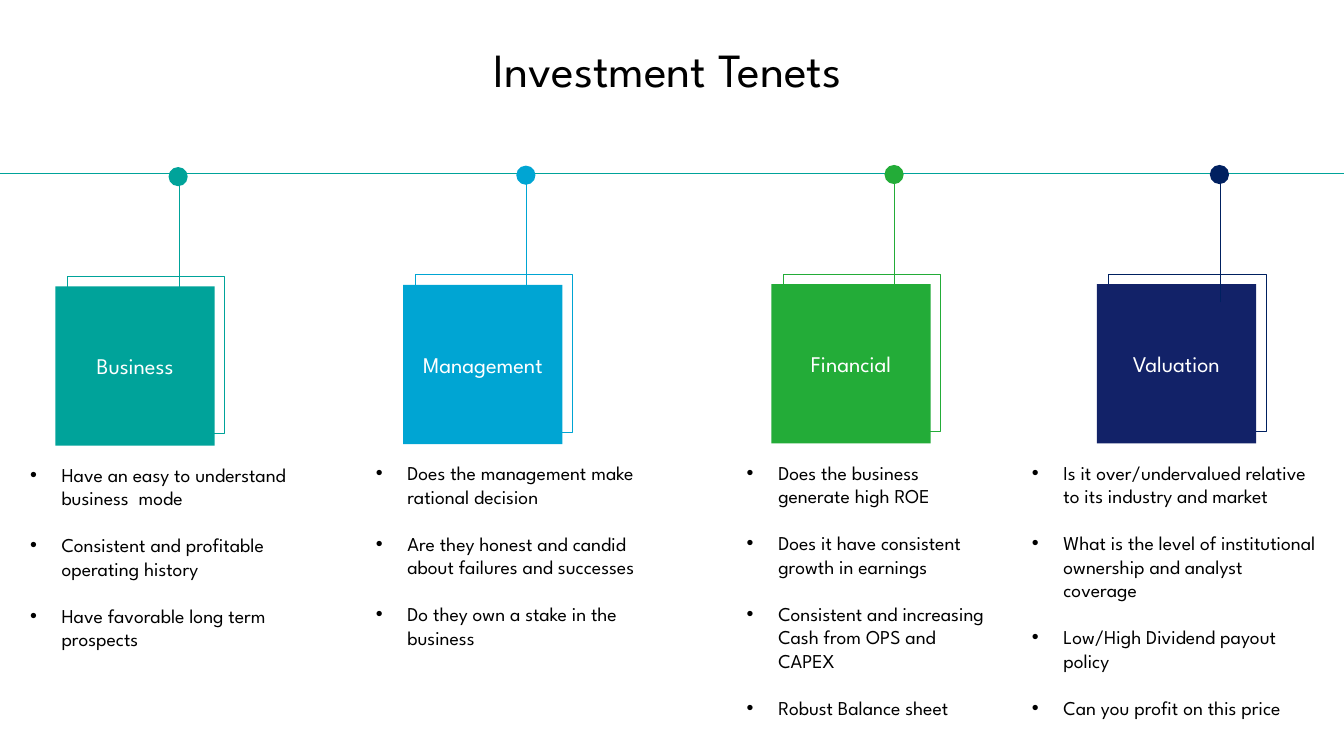
from dataclasses import dataclass

from lxml.etree import SubElement
from pptx import Presentation
from pptx.dml.color import RGBColor
from pptx.enum.shapes import MSO_CONNECTOR, MSO_SHAPE
from pptx.enum.text import MSO_ANCHOR, MSO_AUTO_SIZE, PP_ALIGN
from pptx.oxml.ns import qn
from pptx.util import Pt


@dataclass(frozen=True)
class Theme:
    font: str = "League Spartan"
    black: str = "000000"
    white: str = "FFFFFF"
    teal: str = "00A39A"
    blue: str = "00A5D3"
    green: str = "23AC38"
    navy: str = "002060"
    indigo: str = "122268"
    title: float = 34
    label: float = 16
    body: float = 14
    rule: float = 0.5


@dataclass(frozen=True)
class Tenet:
    name: str
    left: float
    top: float
    fill: str
    line: str
    start: float
    width: float
    points: tuple


class Board:
    def __init__(self, slide, theme):
        self.slide = slide
        self.theme = theme

    def style(self, frame, size, color):
        for para in frame.paragraphs:
            for run in para.runs:
                run.font.name = self.theme.font
                run.font.size = Pt(size)
                run.font.color.rgb = RGBColor.from_string(color)

    def title(self, text, left, top, width, height):
        shape = self.slide.shapes.title
        shape.left, shape.top = Pt(left), Pt(top)
        shape.width, shape.height = Pt(width), Pt(height)
        frame = shape.text_frame
        frame.text = text
        frame.auto_size = MSO_AUTO_SIZE.NONE
        frame.vertical_anchor = MSO_ANCHOR.TOP
        frame.paragraphs[0].alignment = PP_ALIGN.CENTER
        self.style(frame, self.theme.title, self.theme.black)

    def line(self, x1, y1, x2, y2, color):
        rule = self.slide.shapes.add_connector(
            MSO_CONNECTOR.STRAIGHT, Pt(x1), Pt(y1), Pt(x2), Pt(y2))
        rule.line.color.rgb = RGBColor.from_string(color)
        rule.line.width = Pt(self.theme.rule)
        SubElement(rule.element.spPr, qn("a:effectLst"))

    def shape(self, kind, left, top, size, fill=None, line=None):
        shape = self.slide.shapes.add_shape(
            kind, Pt(left), Pt(top), Pt(size), Pt(size))
        shape.shadow.inherit = False
        if fill:
            shape.fill.solid()
            shape.fill.fore_color.rgb = RGBColor.from_string(fill)
        else:
            shape.fill.background()
        if line:
            shape.line.color.rgb = RGBColor.from_string(line)
            shape.line.width = Pt(self.theme.rule)
        else:
            shape.line.fill.background()
        return shape

    def label(self, shape, text):
        frame = shape.text_frame
        frame.text = text
        frame.word_wrap = False
        frame.vertical_anchor = MSO_ANCHOR.MIDDLE
        frame.paragraphs[0].alignment = PP_ALIGN.CENTER
        self.style(frame, self.theme.label, self.theme.white)

    def bullets(self, points, left, top, width, height):
        box = self.slide.shapes.add_textbox(
            Pt(left), Pt(top), Pt(width), Pt(height))
        frame = box.text_frame
        frame.word_wrap = True
        frame.text = "\n".join(points)
        for index, para in enumerate(frame.paragraphs):
            props = para._p.get_or_add_pPr()
            props.set("marL", str(Pt(22.5)))
            props.set("indent", str(Pt(-22.5)))
            if index:
                para.space_before = Pt(16.8)
            SubElement(props, qn("a:buFont"), typeface="Arial")
            SubElement(props, qn("a:buChar"), char="•")
        self.style(frame, self.theme.body, self.theme.black)

    def tenet(self, item):
        left, top = item.left, item.top
        self.shape(MSO_SHAPE.RECTANGLE, left + 8.6, top - 7.2, 112.3,
                   line=item.line)
        square = self.shape(MSO_SHAPE.RECTANGLE, left, top, 113.8,
                            fill=item.fill)
        self.label(square, item.name)
        stem = left + 88.2
        self.line(stem, top + 13, stem, top - 72.7, item.line)
        self.shape(MSO_SHAPE.OVAL, left + 80.8, top - 85.2, 13.7,
                   fill=item.line)
        self.bullets(item.points, item.start, top + 122.4, item.width, 211)


def main():
    theme = Theme()
    deck = Presentation()
    deck.slide_width, deck.slide_height = Pt(960), Pt(540)
    board = Board(deck.slides.add_slide(deck.slide_layouts[5]), theme)
    tenets = (
        Tenet("Business", 39.6, 204.5, theme.teal, theme.teal, 14.4, 197.3, (
            "Have an easy to understand business  mode",
            "Consistent and profitable operating history",
            "Have favorable long term prospects")),
        Tenet("Management", 288, 203.5, theme.blue, theme.blue, 261.4, 220.3, (
            "Does the management make rational decision",
            "Are they honest and candid about failures and successes",
            "Do they own a stake in the business")),
        Tenet("Financial", 551, 203, theme.green, theme.green, 526.3, 190.8, (
            "Does the business generate high ROE",
            "Does it have consistent growth in earnings",
            "Consistent and increasing Cash from OPS and CAPEX",
            "Robust Balance sheet")),
        Tenet("Valuation", 783.4, 203, theme.indigo, theme.navy, 730, 220.3, (
            "Is it over/undervalued relative to its industry and market",
            "What is the level of institutional ownership and analyst coverage",
            "Low/High Dividend payout policy",
            "Can you profit on this price")),
    )
    board.title("Investment Tenets", 132.5, 25.2, 689, 48.2)
    board.line(960, 124, 0, 124, theme.teal)
    for item in tenets:
        board.tenet(item)
    deck.save("out.pptx")


if __name__ == "__main__":
    main()
